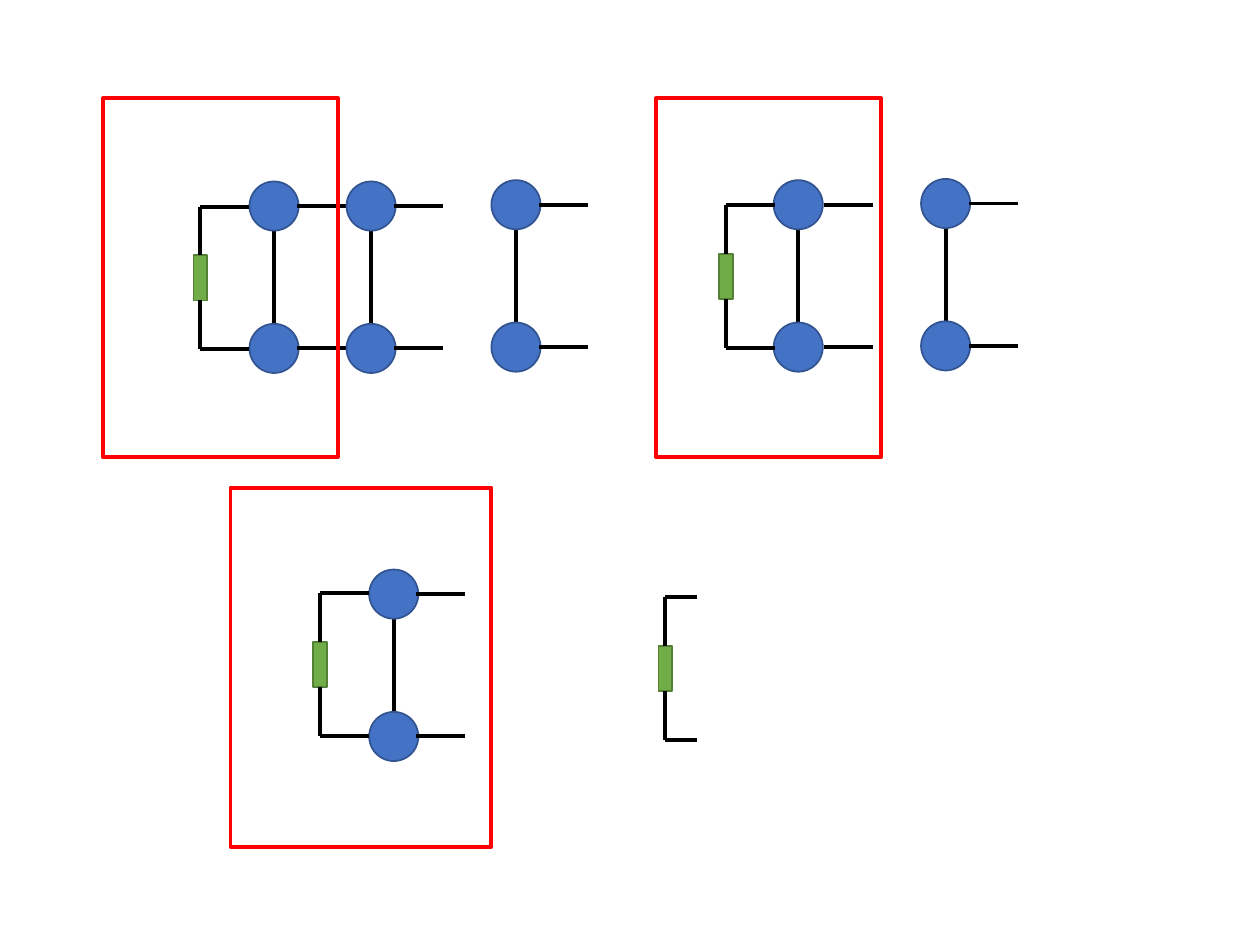
import pptx
import pptx.util
import pptx.dml.color
import pptx.enum.shapes
import pptx.oxml.ns
import lxml.etree

BLUE = pptx.dml.color.RGBColor(0x44, 0x72, 0xC4)
DARK_BLUE = pptx.dml.color.RGBColor(0x32, 0x54, 0x91)
GREEN = pptx.dml.color.RGBColor(0x70, 0xAD, 0x47)
DARK_GREEN = pptx.dml.color.RGBColor(0x53, 0x80, 0x35)
RED = pptx.dml.color.RGBColor(0xFF, 0x00, 0x00)
BLACK = pptx.dml.color.RGBColor(0x00, 0x00, 0x00)

# Rungs: left and top of the upper node, distance from left to the right arms
RUNGS = [
    (1.98, 1.44, 0.38),
    (2.75, 1.44, 0.38),
    (3.90, 1.43, 0.38),
    (6.14, 1.43, 0.40),
    (7.31, 1.42, 0.38),
    (2.93, 4.52, 0.37),
]
# Green boundaries: x of the upright wire, y of the upper arm, arm length
BOUNDARIES = [
    (1.59, 1.64, 0.39),
    (5.76, 1.63, 0.39),
    (2.54, 4.71, 0.39),
    (5.28, 4.74, 0.25),
]
# Red frames: left, top, width
FRAMES = [(0.82, 0.78, 1.86), (5.21, 0.78, 1.78), (1.83, 3.87, 2.07)]

NODE = 0.39
ARM = 0.39
SPACING = 1.13            # upper row to lower row
BLOCK_WIDTH, BLOCK_HEIGHT = 0.11, 0.36
FRAME_HEIGHT = 2.85
ELLIPSE = pptx.enum.shapes.MSO_SHAPE.OVAL
RECTANGLE = pptx.enum.shapes.MSO_SHAPE.RECTANGLE


def add_shape(page, kind, left, top, width, height, fill, line, weight=1):
    inches = [pptx.util.Inches(value) for value in (left, top, width, height)]
    shape = page.shapes.add_shape(kind, *inches)
    shape.shadow.inherit = False
    if fill is None:
        shape.fill.background()
    else:
        shape.fill.solid()
        shape.fill.fore_color.rgb = fill
    shape.line.color.rgb = line
    shape.line.width = pptx.util.Pt(weight)


def add_wire(page, *ends):
    wire = page.shapes.add_connector(
        pptx.enum.shapes.MSO_CONNECTOR.STRAIGHT,
        *[pptx.util.Inches(value) for value in ends])
    wire.line.color.rgb = BLACK
    wire.line.width = pptx.util.Pt(2.25)
    lxml.etree.SubElement(wire._element.spPr, pptx.oxml.ns.qn("a:effectLst"))


def add_rung(page, left, top, arm_offset):
    middle = left + NODE / 2
    add_wire(page, middle, top + NODE, middle, top + SPACING)
    for row_top in (top, top + SPACING):
        add_shape(page, ELLIPSE, left, row_top, NODE, NODE, BLUE, DARK_BLUE)
        start, level = left + arm_offset, row_top + NODE / 2
        add_wire(page, start, level, start + ARM, level)


def add_boundary(page, x, top, arm):
    bottom = top + SPACING
    block_top = top + (SPACING - BLOCK_HEIGHT) / 2
    add_shape(page, RECTANGLE, x - BLOCK_WIDTH / 2, block_top,
              BLOCK_WIDTH, BLOCK_HEIGHT, GREEN, DARK_GREEN)
    add_wire(page, x, top, x, block_top)
    add_wire(page, x, block_top + BLOCK_HEIGHT, x, bottom)
    for level in (top, bottom):
        add_wire(page, x, level, x + arm, level)


def main():
    deck = pptx.Presentation()
    deck.slide_width = pptx.util.Inches(10)
    deck.slide_height = pptx.util.Inches(7.5)
    page = deck.slides.add_slide(deck.slide_layouts[6])

    for rung in RUNGS:
        add_rung(page, *rung)
    for boundary in BOUNDARIES:
        add_boundary(page, *boundary)
    for left, top, width in FRAMES:
        add_shape(page, RECTANGLE, left, top, width, FRAME_HEIGHT,
                  None, RED, weight=2.25)

    deck.save("out.pptx")


if __name__ == "__main__":
    main()
